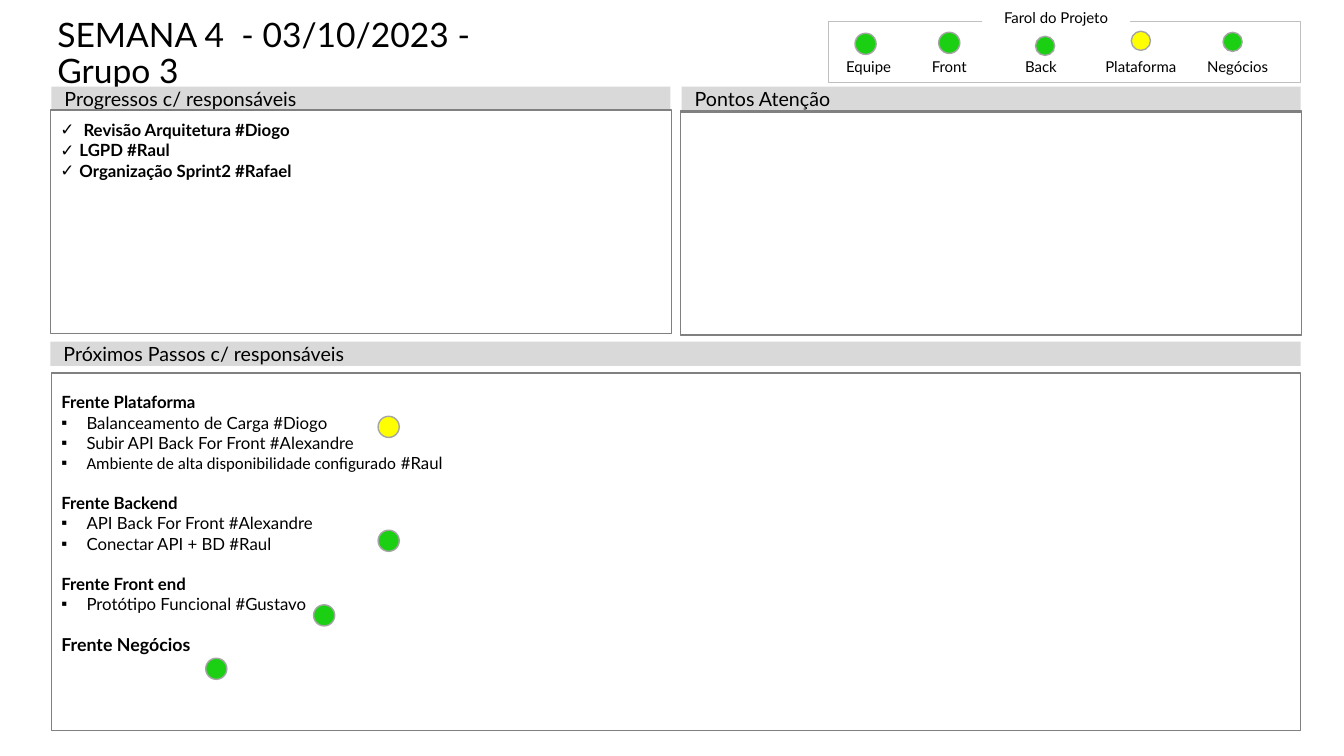
from pptx import Presentation
from pptx.dml.color import RGBColor
from pptx.enum.shapes import MSO_SHAPE as Shape
from pptx.enum.text import MSO_ANCHOR as Anchor, PP_ALIGN as Align
from pptx.oxml.ns import qn
from pptx.util import Inches, Pt
from lxml.etree import SubElement

GREEN, YELLOW = "1BCF13", "FFFF00"


def rgb(code):
    return RGBColor.from_string(code)


class Board:
    font, ink, edge, band = "Lato", "000000", "808080", "D9D9D9"

    def __init__(self, slide):
        self.slide = slide

    def shape(self, kind, box, fill=None, line=None, width=1):
        item = self.slide.shapes.add_shape(kind, *map(Inches, box))
        item.shadow.inherit = False
        if fill:
            item.fill.solid()
            item.fill.fore_color.rgb = rgb(fill)
        else:
            item.fill.background()
        if line:
            item.line.color.rgb = rgb(line)
            item.line.width = Pt(width)
        else:
            item.line.fill.background()
        return item

    def frame(self, item, pads, anchor=Anchor.TOP, wrap=True):
        frame = item.text_frame
        frame.word_wrap = wrap
        frame.vertical_anchor = anchor
        (frame.margin_left, frame.margin_top,
         frame.margin_right, frame.margin_bottom) = map(Inches, pads)
        return frame

    def style(self, para, text, size, bold=False, align=Align.LEFT):
        para.text = text
        para.alignment = align
        para.font.name = self.font
        para.font.size = Pt(size)
        para.font.bold = bold
        para.font.color.rgb = rgb(self.ink)

    def bullet(self, para, mark, indent):
        props = para._p.get_or_add_pPr()
        props.set("marL", str(Inches(indent)))
        props.set("indent", str(-Inches(indent)))
        # Bullet marks come before the default run style
        font = SubElement(props, qn("a:buFont"))
        font.set("typeface", "Arial")
        char = SubElement(props, qn("a:buChar"))
        char.set("char", mark)
        props.insert(0, char)
        props.insert(0, font)

    def title(self, box, text):
        item = self.slide.shapes.add_textbox(*map(Inches, box))
        para = self.frame(item, (0.1, 0, 0.1, 0)).paragraphs[0]
        self.style(para, text, 24)
        para.line_spacing = 0.9

    def label(self, box, text, fill=None):
        item = self.shape(Shape.RECTANGLE, box, fill)
        frame = self.frame(item, (0.05, 0.05, 0.05, 0), Anchor.BOTTOM, False)
        self.style(frame.paragraphs[0], text, 10.7, align=Align.CENTER)

    def header(self, box, text):
        item = self.shape(Shape.RECTANGLE, box, self.band)
        frame = self.frame(item, (0.13, 0.07, 0.13, 0.07), Anchor.MIDDLE)
        self.style(frame.paragraphs[0], text, 14)

    def panel(self, box, top=0.1):
        item = self.shape(Shape.RECTANGLE, box, line=self.edge)
        return self.frame(item, (0.1, top, 0.1, 0.05))

    def light(self, left, top, size, fill):
        self.shape(Shape.OVAL, (left, top, size, size), fill, "A5A5A5")


def add_para(frame):
    first = frame.paragraphs[0]
    return frame.add_paragraph() if first.runs else first


def main():
    deck = Presentation()
    deck.slide_width, deck.slide_height = Inches(13.33), Inches(7.5)
    board = Board(deck.slides.add_slide(deck.slide_layouts[6]))

    # Title
    board.title((0.47, 0.18, 5.13, 0.79), "SEMANA 4  - 03/10/2023 - Grupo 3")

    # Project status lights
    board.shape(Shape.RECTANGLE, (8.22, 0.21, 4.68, 0.61), None, "BFBFBF", 0.5)
    board.label((9.74, 0.05, 1.47, 0.21), "Farol do Projeto", "FFFFFF")
    for name, left, *light in (
        ("Equipe", 8.17, 8.48, 0.33, 0.21, GREEN),
        ("Front", 8.97, 9.31, 0.32, 0.21, GREEN),
        ("Back", 9.88, 10.27, 0.36, 0.19, GREEN),
        ("Plataforma", 10.87, 11.22, 0.31, 0.19, YELLOW),
        ("Negócios", 11.83, 12.13, 0.32, 0.19, GREEN),
    ):
        board.label((left, 0.57, 0.89, 0.18), name)
        board.light(*light)

    # Section headers
    board.header((0.51, 0.86, 6.14, 0.24), "Progressos c/ responsáveis")
    board.header((6.76, 0.86, 6.14, 0.24), "Pontos Atenção")
    board.header((0.5, 3.39, 12.4, 0.24), "Próximos Passos c/ responsáveis")

    # Progress and attention panels
    done = board.panel((0.5, 1.09, 6.16, 2.22))
    for text in (" Revisão Arquitetura #Diogo", "LGPD #Raul",
                 "Organização Sprint2 #Rafael"):
        para = add_para(done)
        board.style(para, text, 12, True)
        board.bullet(para, "✓", 0.19)
    for top in (1.1, 1.11):
        board.panel((6.75, top, 6.16, 2.22))

    # Next steps, one group per front
    steps = board.panel((0.51, 3.7, 12.39, 3.55), 0.19)
    mixed = "Ambiente de alta disponibilidade configurado"
    for name, size, tasks in (
        ("Frente Plataforma", 12, ("Balanceamento de Carga #Diogo",
                                   "Subir API Back For Front #Alexandre",
                                   mixed)),
        ("Frente Backend", 12, ("API Back For Front #Alexandre",
                                "Conectar API + BD #Raul")),
        ("Frente Front end", 12, ("Protótipo Funcional #Gustavo",)),
        ("Frente Negócios", 12.7, ()),
    ):
        para = add_para(steps)
        if len(steps.paragraphs) > 1:
            para.space_before = Pt(14.4)
        board.style(para, name, size, True)
        for task in tasks:
            para = add_para(steps)
            board.style(para, task, 12)
            board.bullet(para, "▪", 0.25)
            if task == mixed:
                para.runs[0].font.name = "Calibri"
                para.add_run().text = " #Raul"

    # Lights beside each front
    for left, top, fill in ((3.75, 4.13, YELLOW), (3.75, 5.26, GREEN),
                            (3.11, 6, GREEN), (2.04, 6.53, GREEN)):
        board.light(left, top, 0.21, fill)

    deck.save("out.pptx")


if __name__ == "__main__":
    main()
